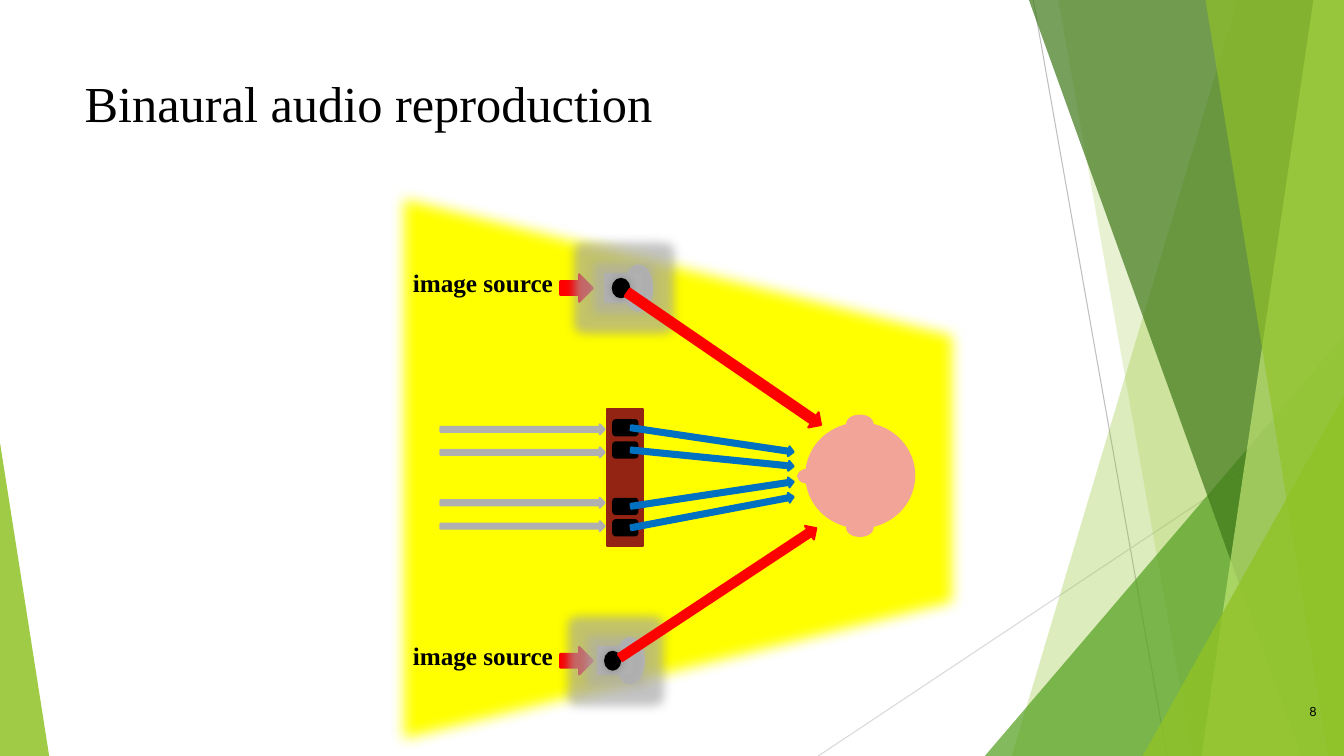
from dataclasses import dataclass
from math import atan2, degrees, hypot

from lxml.etree import SubElement
from pptx import Presentation
from pptx.dml.color import RGBColor
from pptx.enum.shapes import MSO_CONNECTOR as Connector, MSO_SHAPE as Shape
from pptx.enum.text import MSO_ANCHOR as Anchor, PP_ALIGN as Align
from pptx.oxml.ns import qn
from pptx.util import Cm, Pt

WIDTH, HEIGHT = 33.87, 19.05


@dataclass(frozen=True)
class Theme:
    """Colours, fonts and type sizes of the slide."""
    ink: str = "000000"
    leaf: str = "90C226"
    grass: str = "54A021"
    forest: str = "3F7819"
    lime: str = "C0E474"
    hairline: str = "BFBFBF"
    pale_hairline: str = "D9D9D9"
    light: str = "FFFF00"
    light_edge: str = "92D050"
    direct: str = "FF0000"
    beam: str = "0070C0"
    signal: str = "B0B0B0"
    cone: str = "D3D3D3"
    array: str = "932313"
    skin: str = "F2A499"
    serif: str = "Times New Roman"
    sans: str = "Lato"
    title_size: int = 36
    label_size: int = 18
    number_size: int = 9
    outline: float = 1.5


THEME = Theme()


def rgb(color):
    """Turn a hex string into a colour."""
    return RGBColor.from_string(color)


def write(frame, text, size, font=THEME.serif, color=THEME.ink, bold=False,
          align=Align.LEFT, anchor=Anchor.TOP, wrap=True):
    """Put one formatted line of text into a text frame."""
    frame.word_wrap = wrap
    frame.vertical_anchor = anchor
    paragraph = frame.paragraphs[0]
    paragraph.alignment = align
    run = paragraph.add_run()
    run.text = text
    run.font.size = Pt(size)
    run.font.name = font
    run.font.bold = bold
    run.font.color.rgb = rgb(color)


def paint(shape, color, edge=None, alpha=100):
    """Fill a shape, with an outline if edge is given, and drop its shadow."""
    shape.shadow.inherit = False
    shape.fill.solid()
    shape.fill.fore_color.rgb = rgb(color)
    if alpha < 100:
        tint = next(shape.element.spPr.iter(qn("a:srgbClr")))
        SubElement(tint, qn("a:alpha"), val=str(alpha * 1000))
    if edge:
        shape.line.color.rgb = rgb(edge)
        shape.line.width = Pt(THEME.outline)
    else:
        shape.line.fill.background()


def add_effect(shape, tag, color=None, alpha=100, **settings):
    """Append a soft edge, glow or shadow to the effects of a shape."""
    effects = shape.element.spPr.find(qn("a:effectLst"))
    effect = SubElement(effects, qn(tag), **settings)
    if color:
        tint = SubElement(effect, qn("a:srgbClr"), val=color)
        SubElement(tint, qn("a:alpha"), val=str(alpha * 1000))


def add_shadow(shape):
    """Give a shape the faint blurred shadow of the image sources."""
    add_effect(shape, "a:outerShdw", THEME.ink, 20, blurRad=str(Pt(6)),
               dist="0", dir="18900000")


def centred(parent, kind, x, y, width, height, color, edge=None):
    """Add a preset shape around its centre point."""
    shape = parent.shapes.add_shape(kind, Cm(x - width / 2), Cm(y - height / 2),
                                    Cm(width), Cm(height))
    paint(shape, color, edge or color)
    return shape


def arrow(parent, tail, head, thickness, color):
    """Add a block arrow that runs from tail to head."""
    dx, dy = head[0] - tail[0], head[1] - tail[1]
    block = centred(parent, Shape.RIGHT_ARROW, (tail[0] + head[0]) / 2,
                    (tail[1] + head[1]) / 2, hypot(dx, dy), thickness, color)
    block.rotation = degrees(atan2(dy, dx))


def hairline(parent, start, end, color):
    """Add a thin line to the backdrop."""
    line = parent.shapes.add_connector(Connector.STRAIGHT, *map(Cm, start + end))
    line.line.color.rgb = rgb(color)
    line.line.width = Pt(0.75)
    SubElement(line.element.spPr, qn("a:effectLst"))


def strip(parent, top_x, bottom_x, color, alpha):
    """Add a full-height band from a slanted edge to the right border."""
    builder = parent.shapes.build_freeform(Cm(top_x), 0)
    corners = [(WIDTH, 0), (WIDTH, HEIGHT), (bottom_x, HEIGHT)]
    builder.add_line_segments([(Cm(x), Cm(y)) for x, y in corners], close=True)
    paint(builder.convert_to_shape(), color, alpha=alpha)


def corner(parent, left, top, width, apex, color, alpha):
    """Add a triangle that stands on the lower border."""
    wedge = parent.shapes.add_shape(Shape.ISOSCELES_TRIANGLE, Cm(left), Cm(top),
                                    Cm(width), Cm(HEIGHT - top))
    wedge.adjustments[0] = apex
    paint(wedge, color, alpha=alpha)


def add_backdrop(slide):
    """Build the green facets at both sides."""
    facets = slide.shapes.add_group_shape()
    hairline(facets, (26.04, 0), (29.41, HEIGHT), THEME.hairline)
    hairline(facets, (WIDTH, 10.24), (20.62, HEIGHT), THEME.pale_hairline)
    strip(facets, 31.19, 25.5, THEME.leaf, 30)
    strip(facets, 26.67, 30.05, THEME.leaf, 20)
    corner(facets, 24.82, 8.46, WIDTH - 24.82, 1, THEME.grass, 72)
    strip(facets, 25.93, 32.79, THEME.forest, 70)
    strip(facets, 33.1, 30.28, THEME.lime, 70)
    strip(facets, 30.38, 33.48, THEME.leaf, 65)
    corner(facets, 28.8, 9.98, WIDTH - 28.8, 1, THEME.leaf, 80)
    corner(facets, 0, 11.15, 1.24, 0, THEME.leaf, 85)


def add_image_source(diagram, x, y, width, height, ray, thickness):
    """Build a labelled image source and its ray towards the listener."""
    arrow(diagram, (14.12, y), (14.94, y), 0.69, THEME.direct)
    label = diagram.shapes.add_textbox(Cm(10.1), Cm(y - 0.64), Cm(4.14), Cm(1.02))
    write(label.text_frame, "image source", THEME.label_size, bold=True,
          align=Align.CENTER, wrap=False)
    centred(diagram, Shape.OVAL, x + 0.37, y, 0.69, 1.14, THEME.cone,
            THEME.pale_hairline)
    cabinet = centred(diagram, Shape.RECTANGLE, x, y, width, height, THEME.signal)
    add_effect(cabinet, "a:glow", THEME.signal, 60, rad=str(Pt(14)))
    add_shadow(cabinet)
    dot = centred(diagram, Shape.OVAL, x - 0.07, y, 0.44 * width, 0.65 * height,
                  THEME.ink)
    add_shadow(dot)
    arrow(diagram, *ray, thickness, THEME.direct)


def add_array(diagram):
    """Build the loudspeaker array with its input signals and beams."""
    centred(diagram, Shape.RECTANGLE, 15.75, 12.03, 0.89, 3.45, THEME.array)
    channels = [(10.82, 10.78, 11.39), (11.4, 11.34, 11.75),
                (12.67, 12.76, 12.14), (13.26, 13.3, 12.52)]
    for signal_y, _, _ in channels:
        arrow(diagram, (11.1, signal_y), (15.24, signal_y), 0.25, THEME.signal)
    for _, driver_y, _ in channels:
        centred(diagram, Shape.ROUNDED_RECTANGLE, 15.76, driver_y, 0.61, 0.38,
                THEME.ink)
    for _, driver_y, beam_y in channels:
        arrow(diagram, (15.9, driver_y), (20, beam_y), 0.25, THEME.beam)


def add_listener(diagram):
    """Build the head seen from above, with ears and nose."""
    for x, y, width, height in [(21.68, 11.98, 2.72, 2.62), (21.67, 10.68, 0.64, 0.41),
                                (20.38, 12, 0.53, 0.33), (21.67, 13.3, 0.64, 0.41)]:
        centred(diagram, Shape.OVAL, x, y, width, height, THEME.skin)


def add_diagram(slide):
    """Build the whole listening scene."""
    diagram = slide.shapes.add_group_shape()
    field = centred(diagram, Shape.TRAPEZOID, 17.09, 11.81, 14.53, 14.43,
                    THEME.light, THEME.light_edge)
    field.rotation = 90
    add_effect(field, "a:softEdge", rad=str(Pt(10)))
    add_image_source(diagram, 15.72, 7.26, 0.94, 0.71,
                     ((15.81, 7.37), (20.69, 10.71)), 0.46)
    add_image_source(diagram, 15.51, 16.65, 0.86, 0.69,
                     ((15.63, 16.57), (20.57, 13.31)), 0.41)
    add_array(diagram)
    add_listener(diagram)


def main():
    """Build and save the slide."""
    deck = Presentation()
    deck.slide_width, deck.slide_height = Cm(WIDTH), Cm(HEIGHT)
    slide = deck.slides.add_slide(deck.slide_layouts[5])
    add_backdrop(slide)
    title = slide.shapes.title
    title.left, title.top, title.width, title.height = map(Cm, (1.88, 1.7, 23.88, 3.66))
    write(title.text_frame, "Binaural audio reproduction", THEME.title_size)
    number = slide.shapes.add_textbox(Cm(31.17), Cm(17.22), Cm(2.26), Cm(1.4))
    write(number.text_frame, "8", THEME.number_size, font=THEME.sans,
          align=Align.RIGHT, anchor=Anchor.MIDDLE)
    add_diagram(slide)
    deck.save("out.pptx")


main()
